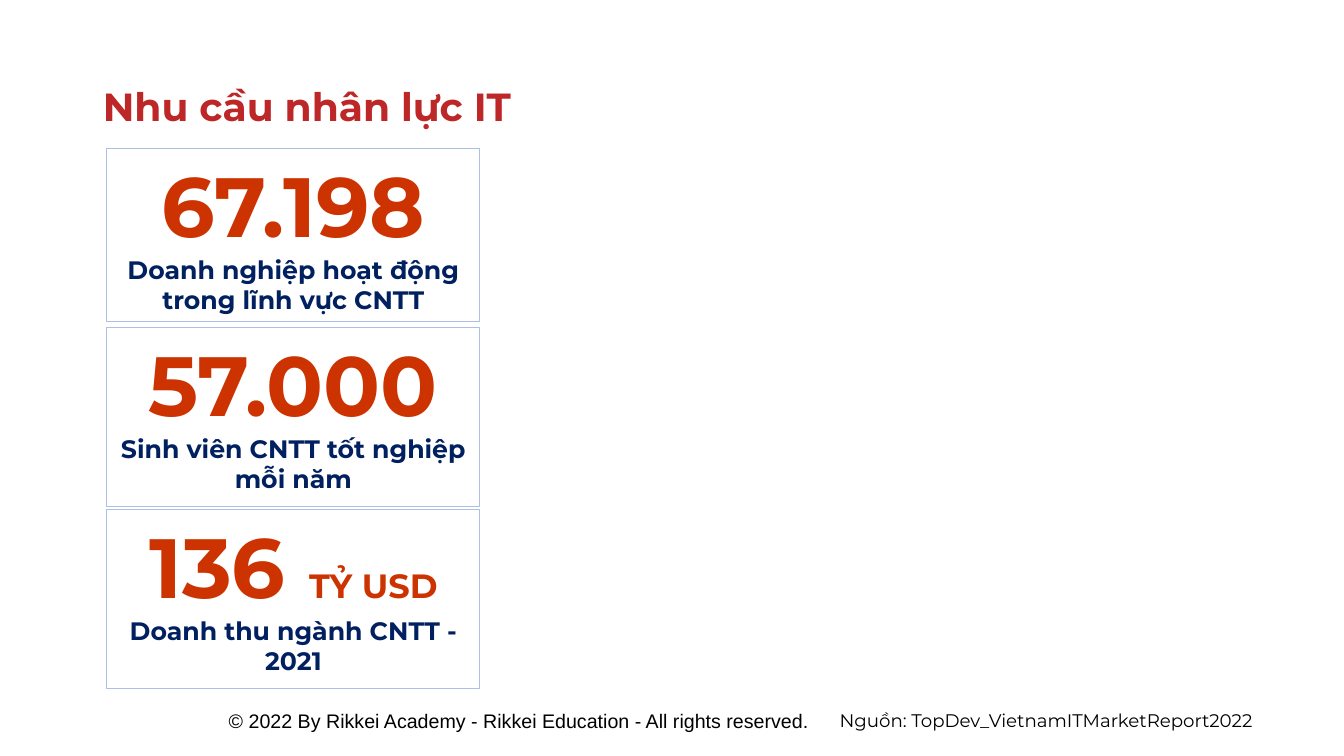
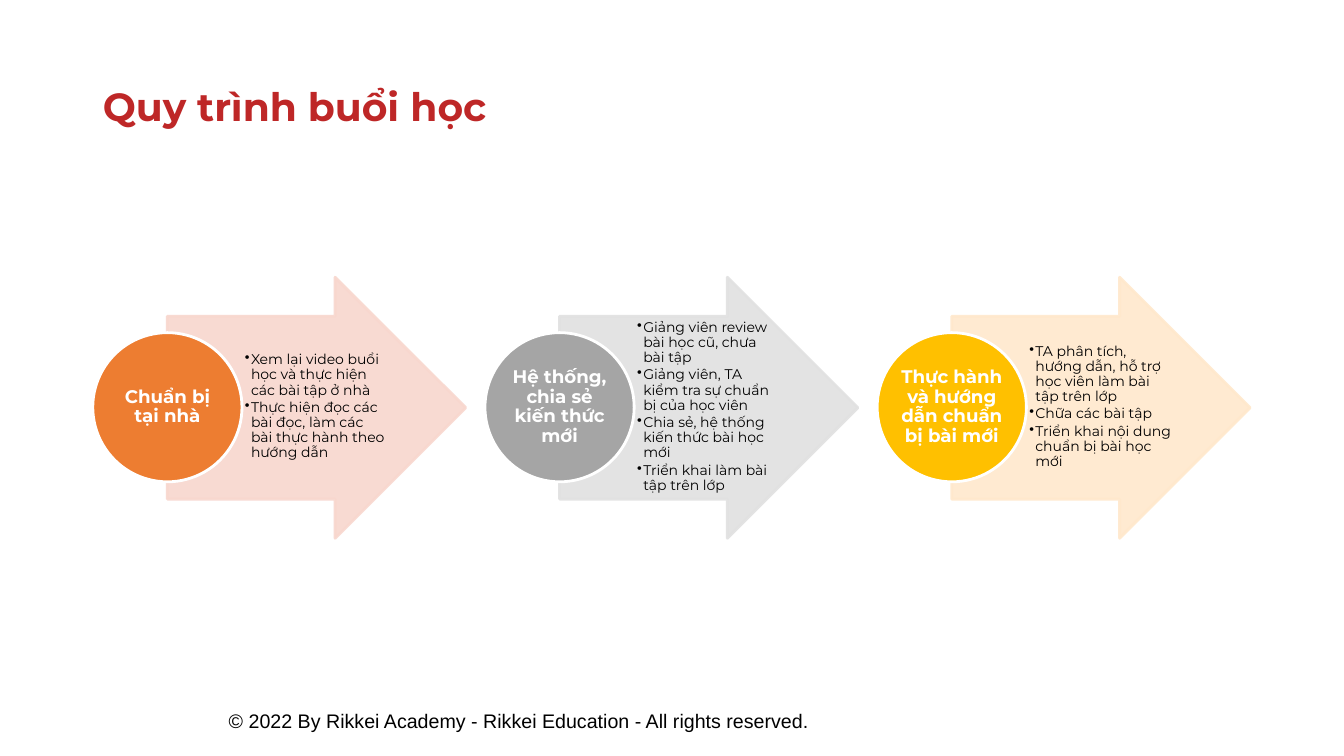
import pptx
import pptx.dml.color
import pptx.enum.shapes
import pptx.enum.text
import pptx.oxml.ns
import pptx.util
import lxml.etree

PX = 9144  # 100 px to the inch
HEADING_FONT = "Montserrat"
FOOTER_FONT = "Arial"
RED, ORANGE_RED, NAVY = "BE2727", "CC3300", "002060"
BLACK, WHITE, CARD_LINE = "000000", "FFFFFF", "ABC0E4"
FOOTER = "© 2022 By Rikkei Academy - Rikkei Education - All rights reserved."

SHAPE = pptx.enum.shapes.MSO_SHAPE
ALIGN = pptx.enum.text.PP_ALIGN
ANCHOR = pptx.enum.text.MSO_ANCHOR
qn = pptx.oxml.ns.qn


def rgb(hex_color):
    return pptx.dml.color.RGBColor.from_string(hex_color)


def add_run(paragraph, text, size, color, bold=False, font=HEADING_FONT):
    run = paragraph.add_run()
    run.text = text
    run.font.name = font
    run.font.size = pptx.util.Pt(size)
    run.font.bold = bold
    run.font.color.rgb = rgb(color)


presentation = pptx.Presentation()
presentation.slide_width = 1333 * PX
presentation.slide_height = 750 * PX

# Shared title and footer
slides = []
for title_text in ("Nhu cầu nhân lực IT", "Quy trình buổi học"):
    slide = presentation.slides.add_slide(presentation.slide_layouts[5])
    slides.append(slide)
    title = slide.shapes.title
    title.left, title.top, title.width, title.height = 92 * PX, 56 * PX, 926 * PX, 103 * PX
    title.text_frame.auto_size = pptx.enum.text.MSO_AUTO_SIZE.NONE
    title.text_frame.vertical_anchor = ANCHOR.MIDDLE
    paragraph = title.text_frame.paragraphs[0]
    paragraph.alignment = ALIGN.LEFT
    paragraph.line_spacing = 0.9
    add_run(paragraph, title_text, 28, RED, bold=True)

    footer = slide.shapes.add_textbox(217 * PX, 693 * PX, 779 * PX, 44 * PX)
    footer.text_frame.word_wrap = True
    footer.text_frame.margin_top = footer.text_frame.margin_bottom = 10 * PX
    add_run(footer.text_frame.paragraphs[0], FOOTER, 14, BLACK, font=FOOTER_FONT)

demand_slide, process_slide = slides

# Slide 1: key figures
cards = [
    (147, 172, [("67.198", 60)], "Doanh nghiệp hoạt động trong lĩnh vực CNTT"),
    (325, 178, [("57.000", 60)], "Sinh viên CNTT tốt nghiệp mỗi năm"),
    (505, 178, [("136 ", 60), ("TỶ USD", 24)], "Doanh thu ngành CNTT - 2021"),
]
for top, height, figure_runs, caption in cards:
    card = demand_slide.shapes.add_shape(SHAPE.RECTANGLE, 106 * PX, top * PX, 370 * PX, height * PX)
    card.shadow.inherit = False
    card.fill.background()
    card.line.color.rgb = rgb(CARD_LINE)
    card.line.width = pptx.util.Pt(0.75)
    frame = card.text_frame
    frame.word_wrap = True
    frame.vertical_anchor = ANCHOR.TOP
    figure = frame.paragraphs[0]
    for text, size in figure_runs:
        add_run(figure, text, size, ORANGE_RED, bold=True)
    label = frame.add_paragraph()
    add_run(label, caption, 18, NAVY, bold=True)
    figure.alignment = label.alignment = ALIGN.CENTER

source = demand_slide.shapes.add_textbox(823 * PX, 699 * PX, 448 * PX, 32 * PX)
source.text_frame.word_wrap = True
add_run(source.text_frame.paragraphs[0], "Nguồn: TopDev_VietnamITMarketReport2022", 13, BLACK)

# Slide 2: three steps, each an arrow with a circle and a bullet list
steps = [
    ("Chuẩn bị tại nhà", "ED7D31", "F8D7CE", [
        "Xem lại video buổi học và thực hiện các bài tập ở nhà",
        "Thực hiện đọc các bài đọc, làm các bài thực hành theo hướng dẫn",
    ]),
    ("Hệ thống, chia sẻ kiến thức mới", "A5A5A5", "E1E1E1", [
        "Giảng viên review bài học cũ, chưa bài tập",
        "Giảng viên, TA kiểm tra sự chuẩn bị của học viên",
        "Chia sẻ, hệ thống kiến thức bài học mới",
        "Triển khai làm bài tập trên lớp",
    ]),
    ("Thực hành và hướng dẫn chuẩn bị bài mới", "FFC000", "FFE8CC", [
        "TA phân tích, hướng dẫn, hỗ trợ học viên làm bài tập trên lớp",
        "Chữa các bài tập",
        "Triển khai nội dung chuẩn bị bài học mới",
    ]),
]
STEP_LEFT, STEP_PITCH = 92, 389
for index, (name, circle_color, arrow_color, tasks) in enumerate(steps):
    left = STEP_LEFT + index * STEP_PITCH
    arrow = process_slide.shapes.add_shape(
        SHAPE.RIGHT_ARROW, (left + 74) * PX, 275 * PX, 296 * PX, 259 * PX)
    arrow.adjustments[0] = 0.7
    arrow.adjustments[1] = 0.5
    task_box = process_slide.shapes.add_textbox((left + 148) * PX, 313 * PX, 145 * PX, 181 * PX)
    circle = process_slide.shapes.add_shape(SHAPE.OVAL, left * PX, 330 * PX, 148 * PX, 148 * PX)

    for shape, fill, line in ((arrow, arrow_color, arrow_color), (circle, circle_color, WHITE)):
        shape.shadow.inherit = False
        shape.fill.solid()
        shape.fill.fore_color.rgb = rgb(fill)
        shape.line.color.rgb = rgb(line)
        shape.line.width = pptx.util.Pt(2)

    # Arrow transparency
    for color_element in arrow._element.spPr.iter(qn("a:srgbClr")):
        lxml.etree.SubElement(color_element, qn("a:alpha"), val="90000")

    for frame in (task_box.text_frame, circle.text_frame):
        frame.word_wrap = True
        frame.vertical_anchor = ANCHOR.MIDDLE
        frame.margin_left = frame.margin_right = frame.margin_top = frame.margin_bottom = PX

    paragraph = circle.text_frame.paragraphs[0]
    paragraph.alignment = ALIGN.CENTER
    paragraph.line_spacing = 0.9
    add_run(paragraph, name, 13, WHITE, bold=True)

    # Bullets
    frame = task_box.text_frame
    frame.margin_left = 3 * PX
    for number, task in enumerate(tasks):
        paragraph = frame.add_paragraph() if number else frame.paragraphs[0]
        properties = paragraph._p.get_or_add_pPr()
        properties.set("marL", str(6 * PX))
        properties.set("indent", str(-6 * PX))
        bullet_color = lxml.etree.SubElement(properties, qn("a:buClr"))
        lxml.etree.SubElement(bullet_color, qn("a:srgbClr"), val=BLACK)
        lxml.etree.SubElement(properties, qn("a:buChar"), char="•")
        paragraph.line_spacing = 0.9
        paragraph.space_after = pptx.util.Pt(1.5)
        add_run(paragraph, task, 10, BLACK)

presentation.save("out.pptx")
